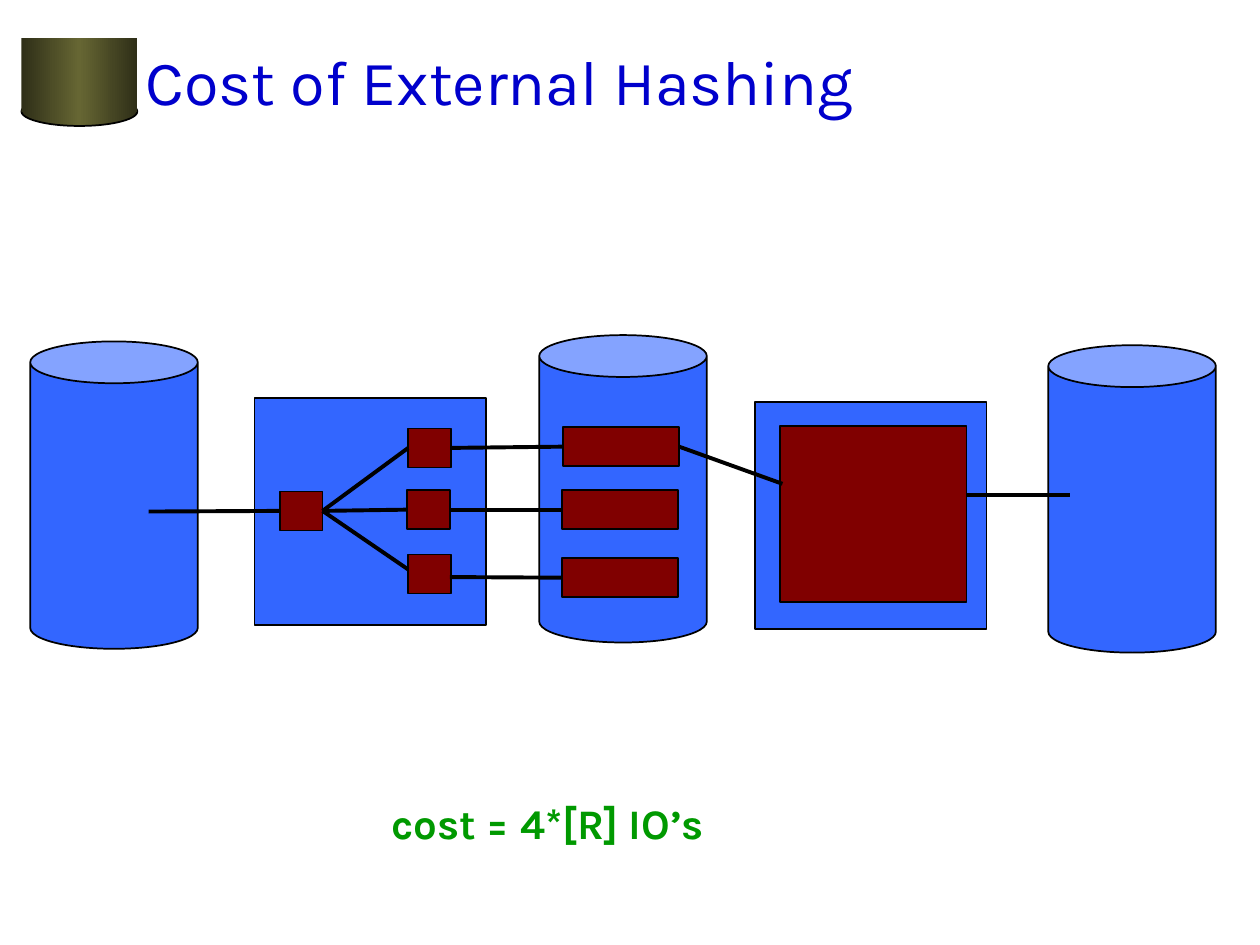
from copy import deepcopy

from pptx import Presentation
from pptx.dml.color import RGBColor
from pptx.enum.shapes import MSO_CONNECTOR as Connector, MSO_SHAPE as Shape
from pptx.enum.text import MSO_ANCHOR as Anchor
from pptx.oxml.ns import qn
from pptx.util import Inches, Pt
from lxml import etree

BLACK = RGBColor(0x00, 0x00, 0x00)
BLUE = RGBColor(0x33, 0x66, 0xFF)
MAROON = RGBColor(0x80, 0x00, 0x00)
TITLE_BLUE = RGBColor(0x00, 0x00, 0xCC)
GREEN = RGBColor(0x00, 0x99, 0x00)
OLIVE = RGBColor(0x66, 0x66, 0x33)
DARK_OLIVE = RGBColor(0x2F, 0x2F, 0x18)
FONT = "Karla"
LEFT, RIGHT = 1, 3  # connection sites of a rectangle


def add_block(page, kind, left, top, width, height, color=None, outlined=True):
    block = page.shapes.add_shape(
        kind, Inches(left), Inches(top), Inches(width), Inches(height))
    block.shadow.inherit = False
    if color is not None:
        block.fill.solid()
        block.fill.fore_color.rgb = color
    if outlined:
        block.line.color.rgb = BLACK
        block.line.width = Pt(1)
    else:
        block.line.fill.background()
    return block


def shade_olive(block):
    """Horizontal gradient: dark edges, lighter middle."""
    block.fill.gradient()
    block.fill.gradient_angle = 0
    first = block.fill.gradient_stops
    stop_list = block.element.spPr.find(qn("a:gradFill")).find(qn("a:gsLst"))
    stop_list.insert(1, deepcopy(stop_list[0]))
    stops = zip(block.fill.gradient_stops, (0, 0.5, 1),
                (DARK_OLIVE, OLIVE, DARK_OLIVE))
    for stop, position, color in stops:
        stop.position = position
        stop.color.rgb = color


def add_disk(page, left, top):
    return add_block(page, Shape.CAN, left, top, 1.33, 2.44, BLUE)


def add_memory(page, left, top):
    return add_block(page, Shape.RECTANGLE, left, top, 1.84, 1.8, BLUE)


def add_buffer(page, left, top, width=0.34, height=0.31):
    return add_block(page, Shape.RECTANGLE, left, top, width, height, MAROON)


def add_link(page, start, end, source=None, target=None):
    """Draw a line; join it to the source's right and the target's left side."""
    link = page.shapes.add_connector(
        Connector.STRAIGHT, *(Inches(value) for value in start + end))
    link.line.color.rgb = BLACK
    link.line.width = Pt(2.25)
    etree.SubElement(link.element.spPr, qn("a:effectLst"))
    if source is not None:
        link.begin_connect(source, RIGHT)
    if target is not None:
        link.end_connect(target, LEFT)


def add_text(page, text, left, top, width, height, size, color, bold=False):
    box = page.shapes.add_textbox(
        Inches(left), Inches(top), Inches(width), Inches(height))
    frame = box.text_frame
    frame.word_wrap = True
    frame.text = text
    font = frame.paragraphs[0].runs[0].font
    font.name, font.size, font.bold = FONT, Pt(size), bold
    font.color.rgb = color
    return frame


def main():
    deck = Presentation()
    deck.slide_width, deck.slide_height = Inches(10), Inches(7.5)
    page = deck.slides.add_slide(deck.slide_layouts[6])

    # Corner ornament and title
    shade_olive(add_block(page, Shape.OVAL, 0.17, 0.77, 0.92, 0.23))
    shade_olive(add_block(page, Shape.RECTANGLE, 0.17, 0.3, 0.92, 0.59,
                          outlined=False))
    title = add_text(page, "Cost of External Hashing",
                     1.06, 0.01, 8.5, 1.25, 36, TITLE_BLUE)
    title.vertical_anchor = Anchor.MIDDLE

    # Disks and the memory areas between them
    for left, top in ((0.24, 2.71), (8.32, 2.74), (4.28, 2.66)):
        add_disk(page, left, top)
    for left, top in ((2.02, 3.16), (5.99, 3.19)):
        add_memory(page, left, top)

    # Buffers in memory and partitions on the middle disk
    input_buffer = add_buffer(page, 2.22, 3.9)
    outputs = [add_buffer(page, left, top)
               for left, top in ((3.24, 3.4), (3.23, 3.89), (3.24, 4.4))]
    add_buffer(page, 6.19, 3.38, 1.48, 1.4)  # hash table
    partitions = [add_buffer(page, left, top, width=0.92)
                  for left, top in ((4.47, 3.39), (4.46, 3.89), (4.46, 4.43))]

    # Data flow
    add_link(page, (1.18, 4.06), (2.22, 4.06), target=input_buffer)
    top_out, middle_out, bottom_out = outputs
    for end, target in (((3.24, 3.56), top_out), ((3.23, 4.05), middle_out),
                        ((3.24, 4.52), None)):
        add_link(page, (2.56, 4.05), end, input_buffer, target)
    flows = zip((3.56, 4.05, 4.58), (top_out, middle_out, None), partitions)
    for y, source, target in flows:
        add_link(page, (3.57, y), (4.46, y), source, target)
    add_link(page, (5.39, 3.55), (6.21, 3.84), source=partitions[0])
    add_link(page, (7.67, 3.93), (8.49, 3.93))

    # Resulting cost
    cost = add_text(page, "cost = 4*[R] IO’s",
                    3.01, 6.28, 3.61, 0.5, 24, GREEN, bold=True)
    cost.paragraphs[0].space_before = Pt(6)

    deck.save("out.pptx")


if __name__ == "__main__":
    main()
